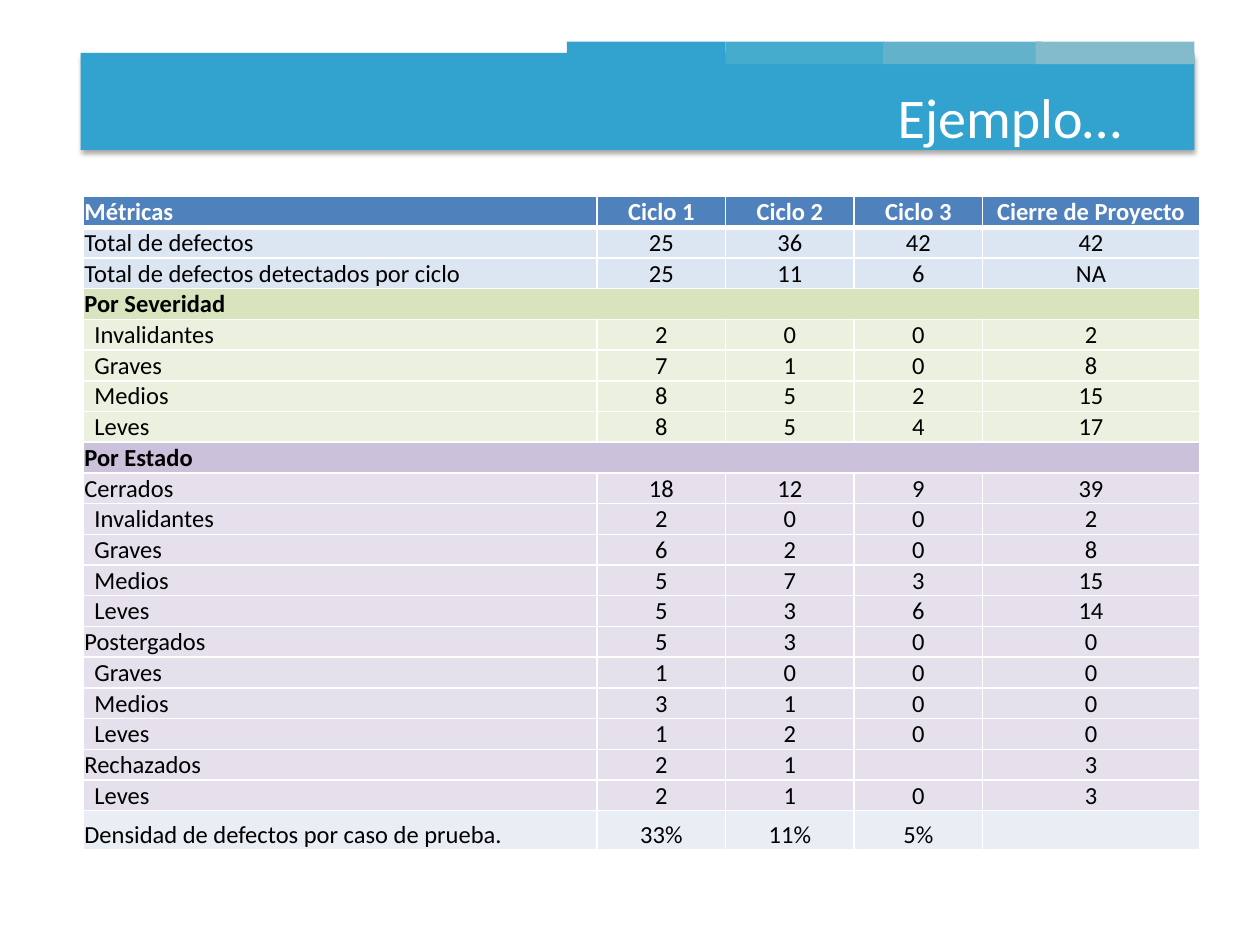
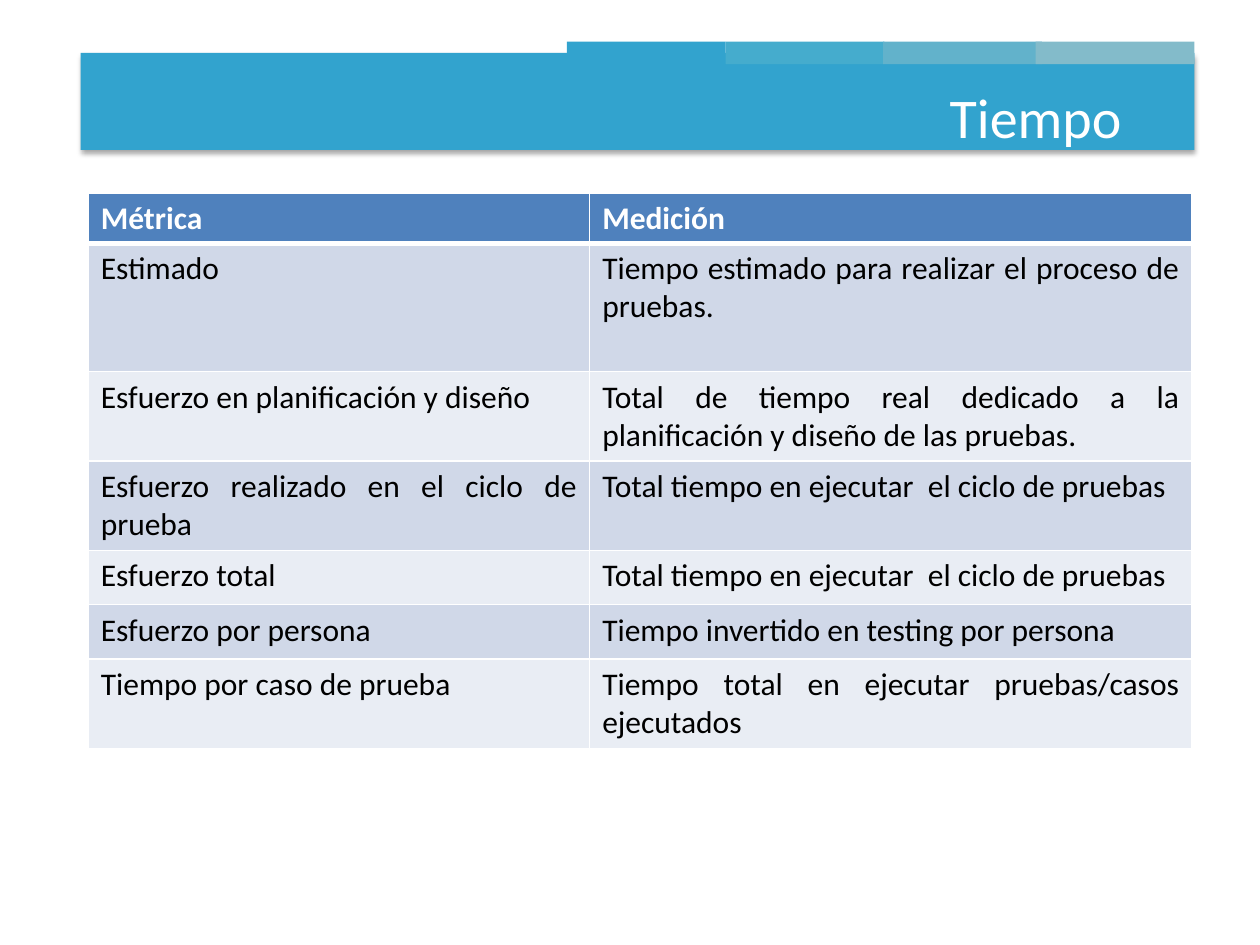
from dataclasses import dataclass

from lxml.etree import SubElement
from pptx import Presentation
from pptx.dml.color import RGBColor
from pptx.enum.shapes import MSO_SHAPE
from pptx.enum.text import MSO_ANCHOR, PP_ALIGN
from pptx.oxml.ns import qn
from pptx.util import Inches, Pt


@dataclass(frozen=True)
class Theme:
    font: str = "Calibri"
    white: str = "FFFFFF"
    black: str = "000000"
    band: str = "32A3CE"
    tabs: tuple = ("32A3CE", "45ACCD", "62B2CB", "83BBCA")
    header: str = "4F81BD"
    total: str = "DCE6F2"
    severity_heading: str = "D7E4BD"
    severity: str = "EBF1DE"
    state_heading: str = "CCC1DA"
    state: str = "E6E0EC"
    stripe_dark: str = "D0D8E8"
    stripe_light: str = "E9EDF4"
    title_size: int = 32
    metrics_size: int = 14
    time_size: int = 18
    thin_line: int = 1
    thick_line: int = 3


THEME = Theme()
TAB_LEFTS = (4.5, 5.76, 7.01, 8.22)

METRICS_HEADER = ("Métricas", "Ciclo 1", "Ciclo 2", "Ciclo 3", "Cierre de Proyecto")
METRICS_GROUPS = (
    (None, None, THEME.total, (
        (0, "Total de defectos", "25", "36", "42", "42"),
        (0, "Total de defectos detectados por ciclo", "25", "11", "6", "NA"),
    )),
    ("Por Severidad", THEME.severity_heading, THEME.severity, (
        (1, "Invalidantes", "2", "0", "0", "2"),
        (1, "Graves", "7", "1", "0", "8"),
        (1, "Medios", "8", "5", "2", "15"),
        (1, "Leves", "8", "5", "4", "17"),
    )),
    ("Por Estado", THEME.state_heading, THEME.state, (
        (0, "Cerrados", "18", "12", "9", "39"),
        (1, "Invalidantes", "2", "0", "0", "2"),
        (1, "Graves", "6", "2", "0", "8"),
        (1, "Medios", "5", "7", "3", "15"),
        (1, "Leves", "5", "3", "6", "14"),
        (0, "Postergados", "5", "3", "0", "0"),
        (1, "Graves", "1", "0", "0", "0"),
        (1, "Medios", "3", "1", "0", "0"),
        (1, "Leves", "1", "2", "0", "0"),
        (0, "Rechazados", "2", "1", "", "3"),
        (1, "Leves", "2", "1", "0", "3"),
    )),
    (None, None, THEME.stripe_light, (
        (0, "Densidad de defectos por caso de prueba.", "33%", "11%", "5%", ""),
    )),
)

TIME_ROWS = (
    ("Métrica", "Medición"),
    ("Estimado", "Tiempo estimado para realizar el proceso de pruebas."),
    ("Esfuerzo en planificación y diseño",
     "Total de tiempo real dedicado a la planificación y diseño de las pruebas."),
    ("Esfuerzo realizado en el ciclo de prueba",
     "Total tiempo en ejecutar  el ciclo de pruebas"),
    ("Esfuerzo total", "Total tiempo en ejecutar  el ciclo de pruebas"),
    ("Esfuerzo por persona", "Tiempo invertido en testing por persona"),
    ("Tiempo por caso de prueba", "Tiempo total en ejecutar pruebas/casos ejecutados"),
)


class Deck:
    def __init__(self, theme):
        self.theme = theme
        self.presentation = Presentation()
        self.presentation.slide_width = Inches(10)
        self.presentation.slide_height = Inches(7.5)
        self.slide = None

    def add_slide(self, title):
        self.slide = self.presentation.slides.add_slide(self.presentation.slide_layouts[6])
        band = self.rectangle(0.64, 0.42, 8.84, 0.77, self.theme.band)
        self.add_shadow(band)
        for left, color in zip(TAB_LEFTS, self.theme.tabs):
            self.rectangle(left, 0.33, 1.26, 0.18, color)
        self.title(title)

    def rectangle(self, left, top, width, height, color):
        shape = self.slide.shapes.add_shape(
            MSO_SHAPE.RECTANGLE, Inches(left), Inches(top), Inches(width), Inches(height))
        shape.shadow.inherit = False
        shape.fill.solid()
        shape.fill.fore_color.rgb = RGBColor.from_string(color)
        shape.line.fill.background()
        return shape

    def add_shadow(self, shape):
        effects = shape.element.spPr.find(qn("a:effectLst"))
        shadow = SubElement(effects, qn("a:outerShdw"), blurRad=str(Pt(3.1)),
                            dist=str(Pt(1.8)), dir="5400000", rotWithShape="0")
        color = SubElement(shadow, qn("a:srgbClr"), val=self.theme.black)
        SubElement(color, qn("a:alpha"), val="35000")

    def title(self, text):
        box = self.slide.shapes.add_textbox(Inches(0), Inches(0.3), Inches(9), Inches(1.25))
        frame = box.text_frame
        frame.word_wrap = True
        frame.vertical_anchor = MSO_ANCHOR.MIDDLE
        frame.text = text
        self.format_text(frame.paragraphs[0], self.theme.title_size,
                         self.theme.white, PP_ALIGN.RIGHT)

    def format_text(self, paragraph, size, color, alignment, bold=False):
        paragraph.alignment = alignment
        for run in paragraph.runs:
            run.font.name = self.theme.font
            run.font.size = Pt(size)
            run.font.bold = bold
            run.font.color.rgb = RGBColor.from_string(color)
        if not paragraph.runs:
            SubElement(paragraph._p, qn("a:endParaRPr"), sz=str(size * 100))

    def table(self, left, top, widths, heights):
        frame = self.slide.shapes.add_table(
            len(heights), len(widths), Inches(left), Inches(top),
            Inches(sum(widths)), Inches(sum(heights)))
        table = frame.table
        table.horz_banding = False
        for column, width in zip(table.columns, widths):
            column.width = Inches(width)
        for row, height in zip(table.rows, heights):
            row.height = Inches(height)
        return table

    def fill_row(self, table, row, texts, size, fill, alignments, bold=False):
        for column, (text, alignment) in enumerate(zip(texts, alignments)):
            cell = table.cell(row, column)
            self.borders(cell, row)
            cell.fill.solid()
            cell.fill.fore_color.rgb = RGBColor.from_string(fill)
            cell.text_frame.text = text
            color = self.theme.black if row else self.theme.white
            self.format_text(cell.text_frame.paragraphs[0], size, color, alignment, bold)

    def borders(self, cell, row):
        thick_side = {0: "B", 1: "T"}.get(row)
        properties = cell._tc.get_or_add_tcPr()
        for side in "LRTB":
            width = self.theme.thick_line if side == thick_side else self.theme.thin_line
            line = SubElement(properties, qn(f"a:ln{side}"), w=str(Pt(width)))
            fill = SubElement(line, qn("a:solidFill"))
            SubElement(fill, qn("a:srgbClr"), val=self.theme.white)

    def metrics_table(self, header, groups):
        rows = [(self.theme.header, 0, header, True)]
        for heading, heading_fill, fill, entries in groups:
            if heading:
                rows.append((heading_fill, 0, (heading, "", "", "", ""), True))
            rows += [(fill, indent, texts, False) for indent, *texts in entries]

        last_height = 0.31
        regular_height = (5.19 - last_height) / (len(rows) - 1)
        heights = [regular_height] * (len(rows) - 1) + [last_height]
        table = self.table(0.66, 1.56, (4.08, 1.02, 1.02, 1.02, 1.72), heights)
        alignments = (PP_ALIGN.LEFT,) + (PP_ALIGN.CENTER,) * 4
        for index, (fill, indent, texts, bold) in enumerate(rows):
            self.fill_row(table, index, texts, self.theme.metrics_size, fill, alignments, bold)
            for cell in table.rows[index].cells:
                cell.vertical_anchor = MSO_ANCHOR.BOTTOM
                cell.margin_left = cell.margin_right = Inches(0.01)
                cell.margin_top = cell.margin_bottom = Inches(0)
            table.cell(index, 0).margin_left = Inches(0.09 if indent else 0.01)
            if index and bold:
                table.cell(index, 0).merge(table.cell(index, 4))

    def time_table(self, rows):
        heights = (0.4, 1.02, 0.71, 0.71, 0.43, 0.43, 0.71)
        table = self.table(0.7, 1.53, (3.98, 4.78), heights)
        stripes = (self.theme.stripe_light, self.theme.stripe_dark)
        for index, texts in enumerate(rows):
            fill = stripes[index % 2] if index else self.theme.header
            self.fill_row(table, index, texts, self.theme.time_size, fill,
                          (PP_ALIGN.JUSTIFY,) * 2, bold=index == 0)


def main():
    deck = Deck(THEME)
    deck.add_slide("Ejemplo…")
    deck.metrics_table(METRICS_HEADER, METRICS_GROUPS)
    deck.add_slide("Tiempo")
    deck.time_table(TIME_ROWS)
    deck.presentation.save("out.pptx")


if __name__ == "__main__":
    main()
